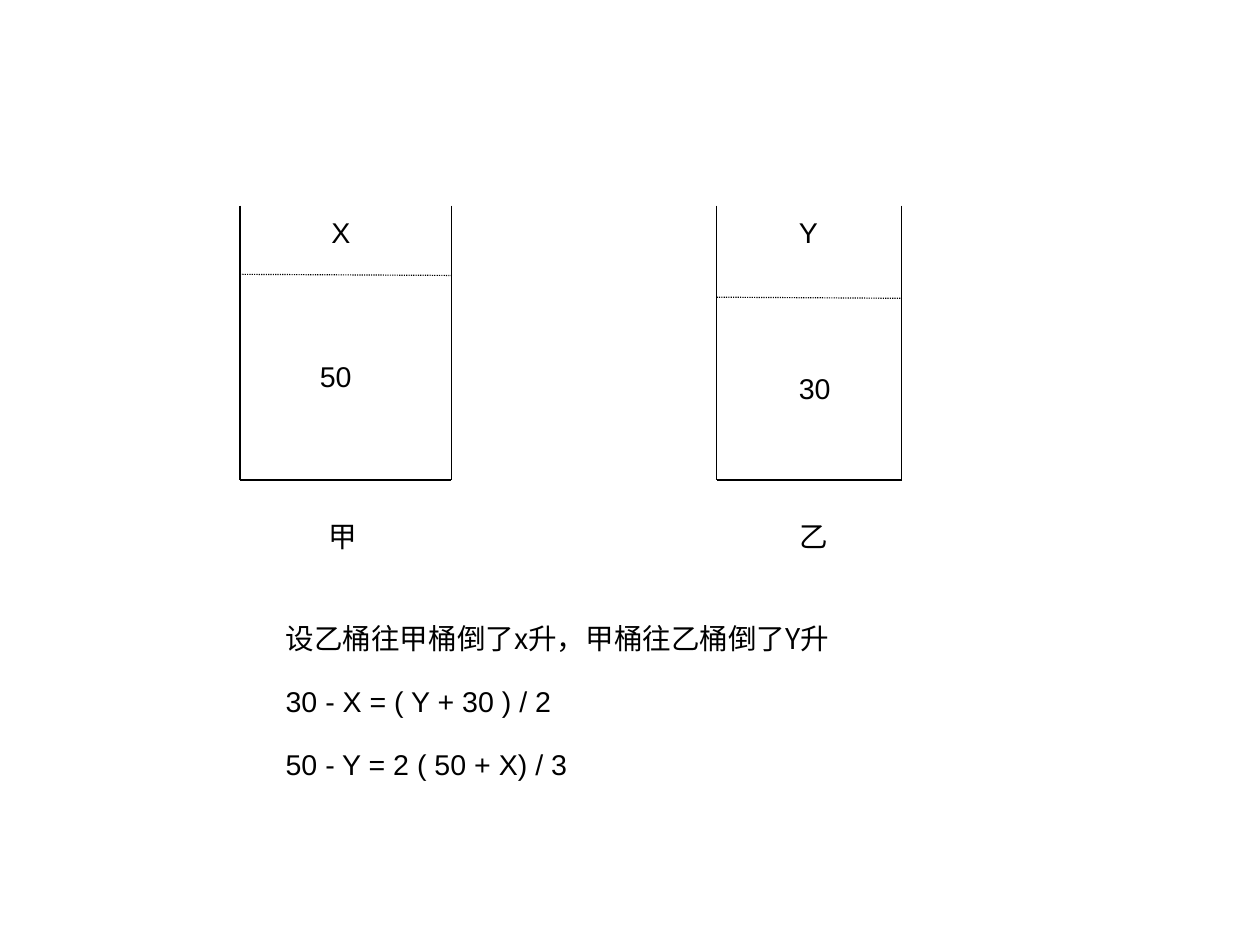
from pptx import Presentation
from pptx.dml.color import RGBColor
from pptx.enum import dml, shapes
from pptx.oxml.ns import qn
from pptx.util import Cm, Inches, Pt

THEME = {
    "ink": RGBColor(0, 0, 0),
    "latin": "Arial",
    "han": "Noto Sans CJK SC",
    "size": Pt(18),
    "line": Pt(0.75),
    "leading": 0.93,
    "gap": Pt(19.5),
}

TOP, BASE = 1.8, 4.2
# Each bucket: left, right, water level, then labels as (text, left, top, width)
BUCKETS = [
    (2.1, 3.95, 2.4,
     [("X", 2.8, 1.84, 0.38), ("50", 2.7, 3.1, 0.5), ("甲", 2.78, 4.5, 0.46)]),
    (6.27, 7.89, 2.6,
     [("Y", 6.89, 1.84, 0.38), ("30", 6.89, 3.2, 0.5), ("乙", 6.9, 4.5, 0.46)]),
]
SOLUTION = [
    ("设乙桶往甲桶倒了x升，甲桶往乙桶倒了Y升", THEME["han"]),
    ("30 - X = ( Y + 30 ) / 2", THEME["latin"]),
    ("50 - Y = 2 ( 50 + X) / 3", THEME["latin"]),
]


def draw_line(slide, x1, y1, x2, y2, dash=None):
    edge = slide.shapes.add_connector(
        shapes.MSO_CONNECTOR.STRAIGHT, *map(Inches, (x1, y1, x2, y2)))
    edge.line.color.rgb = THEME["ink"]
    edge.line.width = THEME["line"]
    if dash:
        edge.line.dash_style = dash
    props = edge._element.spPr
    props.append(props.makeelement(qn("a:effectLst"), {}))


def write(slide, lines, left, top, width, height=0.38):
    """Add an unwrapped text box with one paragraph per (text, font) pair."""
    frame = slide.shapes.add_textbox(
        *map(Inches, (left, top, width, height))).text_frame
    frame.word_wrap = False
    frame.margin_left = frame.margin_right = Inches(0.1)
    frame.margin_top, frame.margin_bottom = Inches(0.07), Inches(0.05)
    for i, (words, face) in enumerate(lines):
        para = frame.add_paragraph() if i else frame.paragraphs[0]
        para.text = words
        para.line_spacing = THEME["leading"]
        if i:
            para.space_before = THEME["gap"]
        para.font.name = face
        para.font.size = THEME["size"]
        para.font.color.rgb = THEME["ink"]


def main():
    deck = Presentation()
    deck.slide_width, deck.slide_height = Cm(28), Cm(21)
    slide = deck.slides.add_slide(deck.slide_layouts[6])
    for left, right, level, labels in BUCKETS:
        for side in (left, right):
            draw_line(slide, side, TOP, side, BASE)
        draw_line(slide, left, BASE, right, BASE)
        draw_line(slide, left, level, right, level + 0.01,
                  dml.MSO_LINE.ROUND_DOT)
        for words, *place in labels:
            write(slide, [(words, THEME["latin"])], *place)
    write(slide, SOLUTION, 2.4, 5.39, 5.25, 1.6)
    deck.save("out.pptx")


if __name__ == "__main__":
    main()
